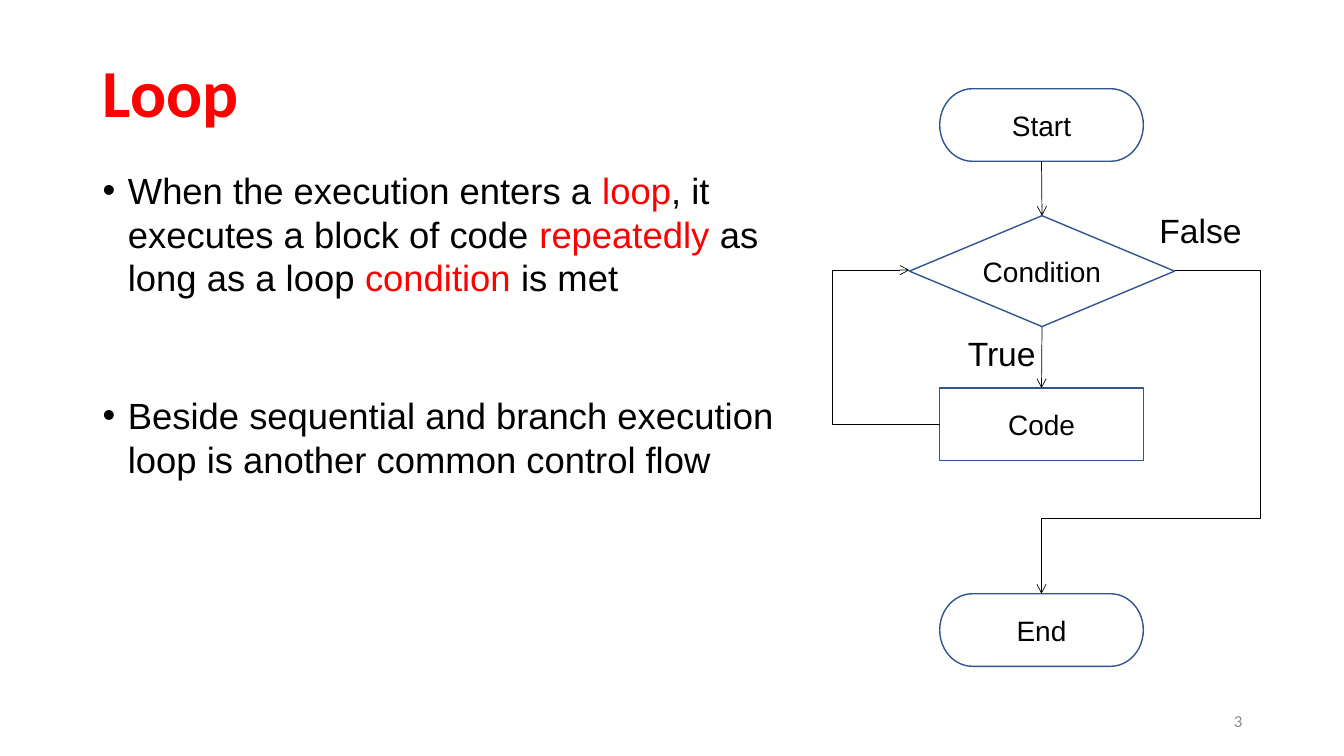
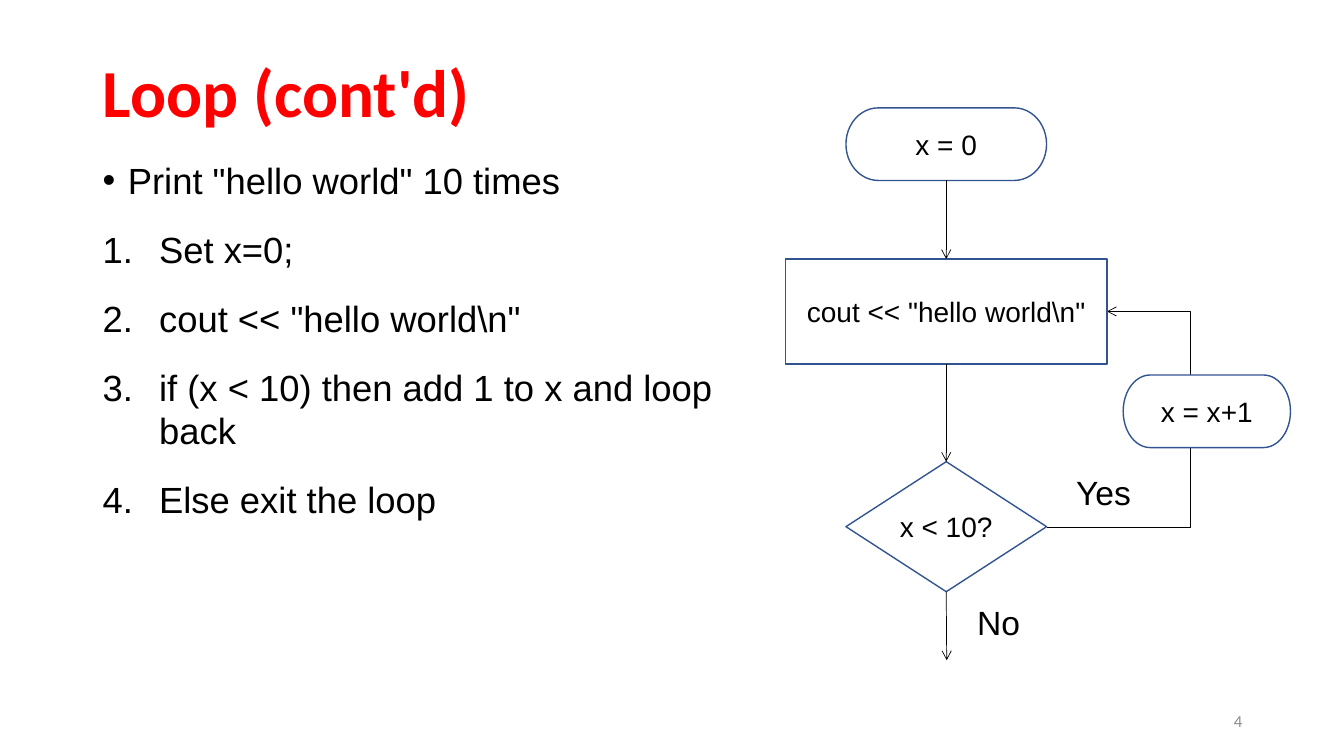
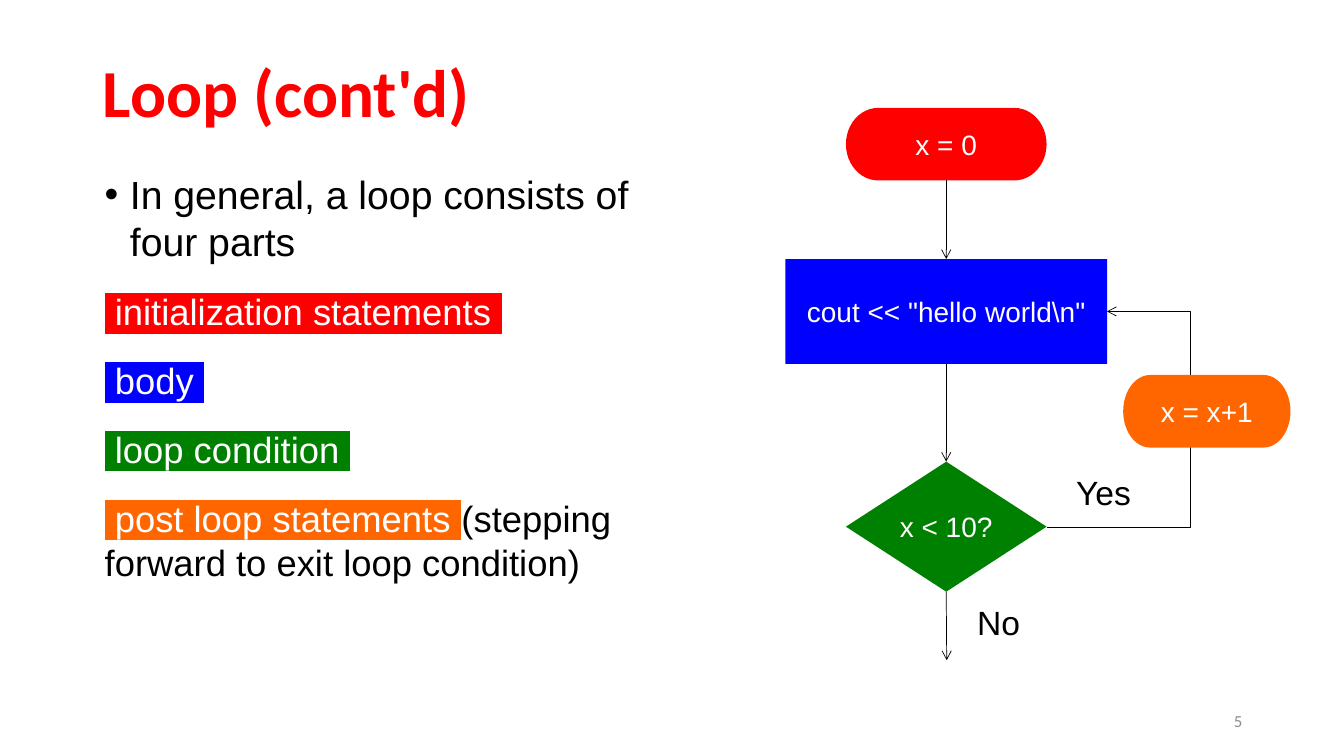
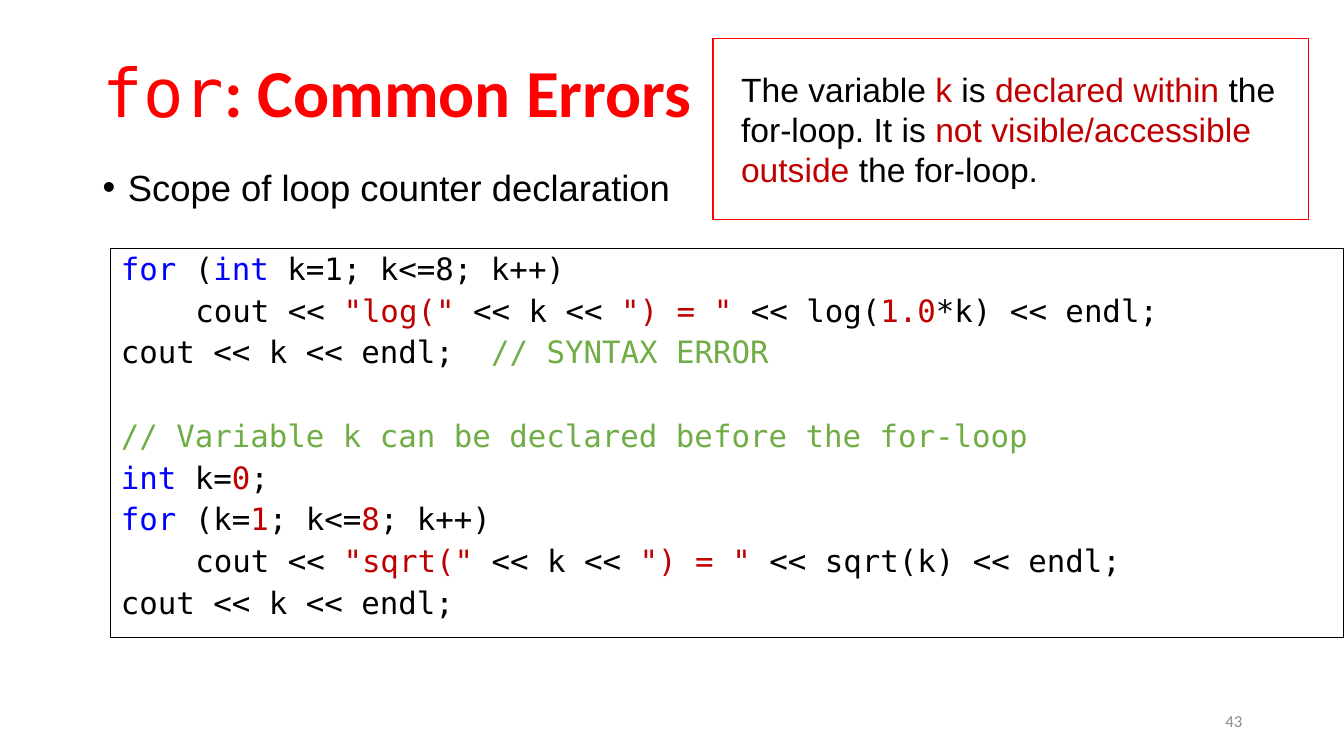
from dataclasses import dataclass

from pptx import Presentation
from pptx.dml.color import RGBColor
from pptx.enum import shapes, text
from pptx.oxml import ns, xmlchemy
from pptx.util import Inches, Pt


@dataclass(frozen=True)
class Theme:
    sans: str = "Arial"
    head: str = "Calibri"
    mono: str = "DejaVu Sans Mono"
    black: str = "000000"
    white: str = "FFFFFF"
    red: str = "FF0000"
    blue: str = "0000FF"
    green: str = "008000"
    orange: str = "FF6600"
    crimson: str = "C00000"
    comment: str = "70AD47"
    outline: str = "325491"
    gray: str = "8C8C8C"
    title: int = 48
    lead: int = 28
    body: int = 26
    label: int = 24
    code: int = 22
    node: int = 20
    number: int = 12


T = Theme()
MSO, ALIGN, ANCHOR = shapes.MSO_SHAPE, text.PP_ALIGN, text.MSO_ANCHOR
TERMINATOR, DECISION, PROCESS = MSO.FLOWCHART_TERMINATOR, MSO.FLOWCHART_DECISION, MSO.RECTANGLE
TOP, BOTTOM = 0, 2
TITLE_BOX = (0.92, 0.4, 11.5, 1.1)
NUMBER_BOX = (9.42, 6.95, 3, 0.4)
BULLET, NUMBERED, PLAIN = "bullet", "numbered", "plain"
INDENTS = {BULLET: 0.25, NUMBERED: 0.56, PLAIN: 0}

LOOP_BODY = [
    (BULLET, ["When the execution enters a ", ("loop", T.red), ", it executes a block of code ",
              ("repeatedly ", T.red), "as long as a loop", (" condition", T.red), " is met"]),
    (BULLET, ["Beside sequential and branch execution loop is another common control flow"]),
]
STEPS_BODY = [
    (BULLET, ['Print "hello world" 10 times']),
    (NUMBERED, ["Set x=0;"]),
    (NUMBERED, ['cout << "hello world\\n"']),
    (NUMBERED, ["if (x < 10) then add 1 to x and loop back"]),
    (NUMBERED, ["Else exit the loop"]),
]
PARTS_BODY = [
    (BULLET, ["In general, a loop consists of four parts"]),
    (PLAIN, [(" initialization statements ", T.white, T.red)]),
    (PLAIN, [(" body ", T.white, T.blue)]),
    (PLAIN, [(" loop condition ", T.white, T.green)]),
    (PLAIN, [(" post loop statements ", T.white, T.orange),
             "(stepping forward to exit loop condition)"]),
]
SCOPE_BODY = [(BULLET, ["Scope of loop counter declaration"])]
SCOPE_NOTE = ["The variable ", ("k", T.crimson), " is ", ("declared within ", T.crimson),
              "the for-loop. It is ", ("not visible/accessible outside", T.crimson),
              " the for-loop."]
CODE_INDENT = 0.74
CODE = [
    (0, 6, [("for", T.blue), " (", ("int ", T.blue), "k=1; k<=8; k++)"]),
    (CODE_INDENT, 6, ["cout << ", ('"log(" ', T.crimson), "<< k << ", ('") = " ', T.crimson),
                      "<< log(", ("1.0", T.crimson), "*k) << endl;"]),
    (0, 6, ["cout << k << endl;  ", ("// SYNTAX ERROR", T.comment)]),
    (0, 36, [("// Variable k can be declared before the for-loop", T.comment)]),
    (0, 6, [("int ", T.blue), "k=", ("0", T.crimson), ";"]),
    (0, 6, [("for", T.blue), " (k=", ("1", T.crimson), "; k<=", ("8", T.crimson), "; k++)"]),
    (CODE_INDENT, 6, ["cout << ", ('"sqrt(" ', T.crimson), "<< k << ", ('") = " ', T.crimson),
                      "<< sqrt(k) << endl;"]),
    (0, 6, ["cout << k << endl;"]),
]

WHILE_NODES = {
    "Start": (TERMINATOR, (9.32, 0.88, 2.02, 0.72)),
    "Condition": (DECISION, (9.02, 2.14, 2.63, 1.1)),
    "Code": (PROCESS, (9.32, 3.85, 2.02, 0.72)),
    "End": (TERMINATOR, (9.32, 5.89, 2.02, 0.72)),
}
COUNT_NODES = {
    "x = 0": (TERMINATOR, (8.39, 1.07, 1.99, 0.72)),
    'cout << "hello world\\n"': (PROCESS, (7.79, 2.57, 3.19, 1.04)),
    "x < 10?": (DECISION, (8.39, 4.58, 1.99, 1.29)),
    "x = x+1": (TERMINATOR, (11.14, 3.72, 1.66, 0.72)),
}
PART_FILLS = [T.red, T.blue, T.green, T.orange]


def rgb(value):
    return RGBColor.from_string(value)


def sub(parent, tag, **attrs):
    el = xmlchemy.OxmlElement(tag)
    for key, value in attrs.items():
        el.set(key, str(value))
    parent.append(el)
    return el


def box(at):
    return [Inches(v) for v in at]


def write(p, runs, size, font=T.sans, color=T.black, align=ALIGN.LEFT):
    p.alignment = align
    p.font.size, p.font.name = Pt(size), font
    p.font.color.rgb = rgb(color)
    for item in runs:
        words, tint, mark = (item, color, None) if isinstance(item, str) else (*item, None)[:3]
        r = p.add_run()
        r.text = words
        r.font.color.rgb = rgb(tint)
        if mark:
            sub(sub(r.font._element, "a:highlight"), "a:srgbClr", val=mark)


def add_text(s, at, words, size, align=ALIGN.LEFT, **style):
    tf = s.shapes.add_textbox(*box(at)).text_frame
    tf.word_wrap = True
    write(tf.paragraphs[0], [words], size, align=align, **style)
    return tf


def add_body(s, at, items, gaps=None, sizes=None):
    tf = s.shapes.add_textbox(*box(at)).text_frame
    tf.word_wrap = True
    for i, (kind, runs) in enumerate(items):
        p = tf.paragraphs[0] if i == 0 else tf.add_paragraph()
        pPr = p._p.get_or_add_pPr()
        hang = Inches(INDENTS[kind])
        pPr.set("marL", str(hang))
        pPr.set("indent", str(-hang))
        p.space_before = Pt((gaps or {}).get(i, 18))
        if kind == BULLET:
            sub(pPr, "a:buFont", typeface=T.sans)
            sub(pPr, "a:buChar", char="•")
        elif kind == NUMBERED:
            sub(pPr, "a:buAutoNum", type="arabicPeriod")
        write(p, runs, (sizes or {}).get(i, T.body))


def add_box(s, kind, at, fill=None, line=None, width=1):
    sp = s.shapes.add_shape(kind, *box(at))
    sp.shadow.inherit = False
    if fill:
        sp.fill.solid()
        sp.fill.fore_color.rgb = rgb(fill)
    else:
        sp.fill.background()
    if line:
        sp.line.color.rgb = rgb(line)
        sp.line.width = Pt(width)
    else:
        sp.line.fill.background()
    sp.text_frame.word_wrap = True
    return sp


def add_nodes(s, nodes, fills=None):
    made = []
    for i, (label, (kind, at)) in enumerate(nodes.items()):
        fill, line, color = (fills[i], None, T.white) if fills else (T.white, T.outline, T.black)
        sp = add_box(s, kind, at, fill, line)
        sp.text_frame.word_wrap = kind != DECISION
        write(sp.text_frame.paragraphs[0], [label], T.node, color=color, align=ALIGN.CENTER)
        made.append(sp)
    return made


def add_arrow(s, start, end, kind=shapes.MSO_CONNECTOR.STRAIGHT):
    c = s.shapes.add_connector(kind, *box(start), *box(end))
    c.line.color.rgb = rgb(T.black)
    c.line.width = Pt(0.5)
    sub(c.line._get_or_add_ln(), "a:tailEnd", type="arrow")
    sub(c._element.spPr, "a:effectLst")
    return c


def add_down(s, upper, lower=None, end=(0, 0)):
    c = add_arrow(s, (0, 0), end)
    c.begin_connect(upper, BOTTOM)
    if lower is not None:
        c.end_connect(lower, TOP)


def add_elbow(s, start, end, via_x, via_y=None):
    c = add_arrow(s, start, end, shapes.MSO_CONNECTOR.ELBOW)
    geom = c._element.spPr.find(ns.qn("a:prstGeom"))
    turns = [(via_x - start[0]) / (end[0] - start[0])]
    if via_y is not None:
        geom.set("prst", "bentConnector4")
        turns.append((via_y - start[1]) / (end[1] - start[1]))
    for i, turn in enumerate(turns, 1):
        sub(geom.get_or_add_avLst(), "a:gd", name=f"adj{i}", fmla=f"val {round(turn * 100000)}")


def add_slide(prs, title, number, mono=""):
    s = prs.slides.add_slide(prs.slide_layouts[5])
    sp = s.shapes.title
    sp.left, sp.top, sp.width, sp.height = box(TITLE_BOX)
    tf = sp.text_frame
    tf.vertical_anchor = ANCHOR.MIDDLE
    p = tf.paragraphs[0]
    p.line_spacing = 0.9
    p.font.bold = True
    write(p, [mono, title] if mono else [title], T.title, T.head, T.red)
    if mono:
        p.runs[0].font.name, p.runs[0].font.bold = T.mono, False
    tf = add_text(s, NUMBER_BOX, str(number), T.number, ALIGN.RIGHT, font=T.head, color=T.gray)
    tf.vertical_anchor = ANCHOR.MIDDLE
    return s


def add_count_chart(s, fills=None):
    add_elbow(s, (10.38, 5.23), (10.98, 3.09), 11.81)
    first, body, test, _ = add_nodes(s, COUNT_NODES, fills)
    add_down(s, first, body)
    add_down(s, body, test)
    add_down(s, test, end=(9.39, 6.55))
    for label, left, top in [("No", 9.37, 5.92), ("Yes", 10.41, 4.63)]:
        add_text(s, (left, top, 1.07, 0.5), label, T.label, ALIGN.CENTER)


def loop_slide(prs):
    s = add_slide(prs, "Loop", 3)
    add_body(s, (0.92, 1.62, 6.89, 5.04), LOOP_BODY, gaps={1: 67})
    start, test, code, end = add_nodes(s, WHILE_NODES)
    add_down(s, start, test)
    add_down(s, test, code)
    add_elbow(s, (9.32, 4.21), (9.02, 2.68), 8.26)
    add_elbow(s, (11.65, 2.68), (10.33, 5.89), 12.5, 5.14)
    add_text(s, (9.5, 3.25, 0.95, 0.5), "True", T.label)
    add_text(s, (11.4, 2.03, 1.02, 0.5), "False", T.label)


def steps_slide(prs):
    s = add_slide(prs, "Loop (cont'd)", 4)
    add_body(s, (0.92, 1.52, 6.34, 5.04), STEPS_BODY)
    add_count_chart(s)


def parts_slide(prs):
    s = add_slide(prs, "Loop (cont'd)", 5)
    add_body(s, (0.94, 1.64, 5.75, 5.04), PARTS_BODY, sizes={0: T.lead})
    add_count_chart(s, PART_FILLS)


def errors_slide(prs):
    s = add_slide(prs, ": Common Errors", 43, mono="for")
    add_body(s, (0.92, 1.59, 6.1, 0.7), SCOPE_BODY)
    tf = add_box(s, PROCESS, (1.1, 2.47, 12.23, 3.86), line=T.black, width=0.75).text_frame
    tf.vertical_anchor = ANCHOR.TOP
    for i, (indent, gap, runs) in enumerate(CODE):
        p = tf.paragraphs[0] if i == 0 else tf.add_paragraph()
        p._p.get_or_add_pPr().set("marL", str(Inches(indent)))
        p.line_spacing, p.space_before = 0.9, Pt(gap)
        write(p, runs, T.code, T.mono)
    tf = add_box(s, PROCESS, (7.07, 0.38, 5.91, 1.8), T.white, T.red).text_frame
    tf.margin_left, tf.margin_right = Inches(0.28), Inches(0.31)
    write(tf.paragraphs[0], SCOPE_NOTE, T.label)


def main():
    prs = Presentation()
    prs.slide_width, prs.slide_height = Inches(13.33), Inches(7.5)
    for build in (loop_slide, steps_slide, parts_slide, errors_slide):
        build(prs)
    prs.save("out.pptx")


if __name__ == "__main__":
    main()
